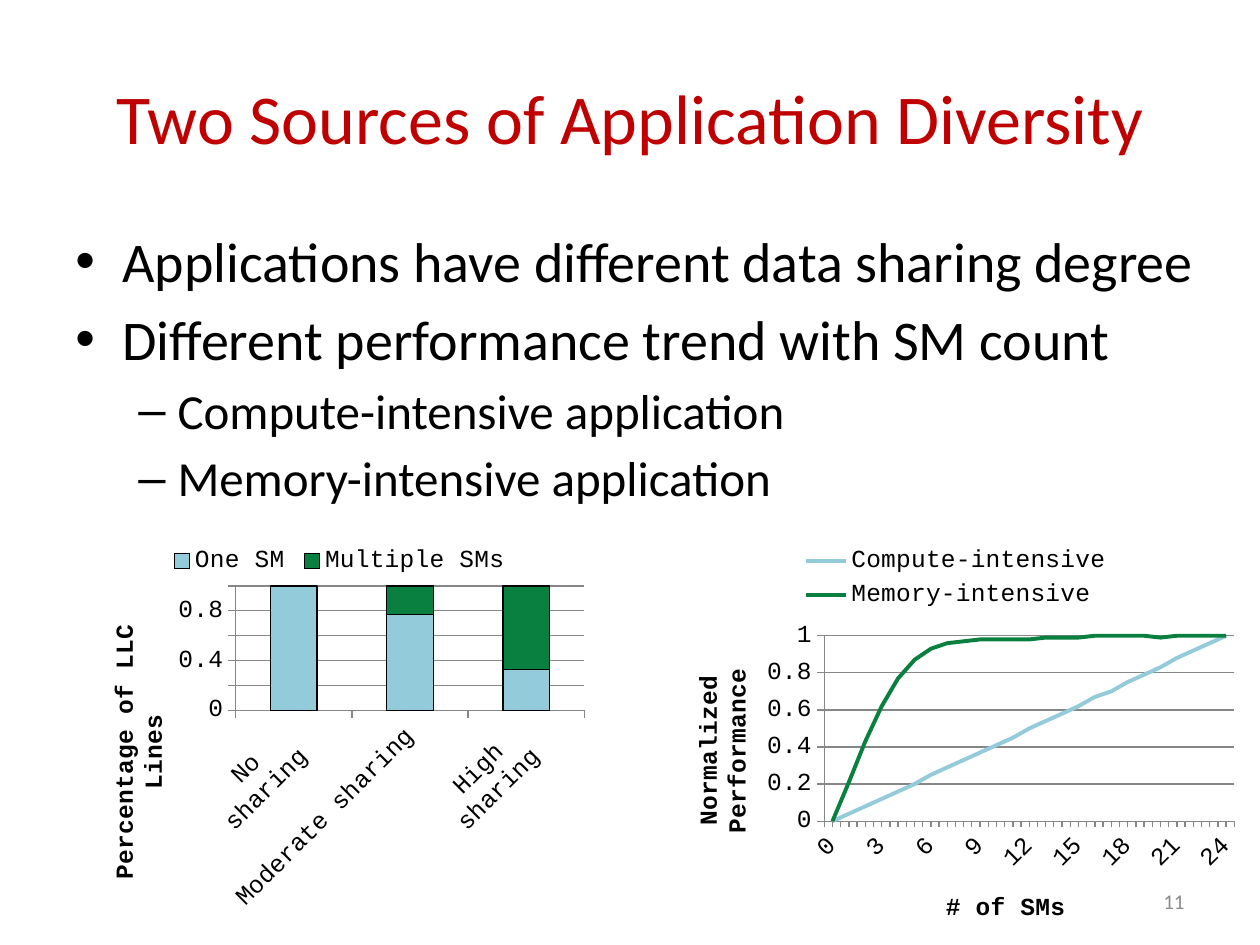
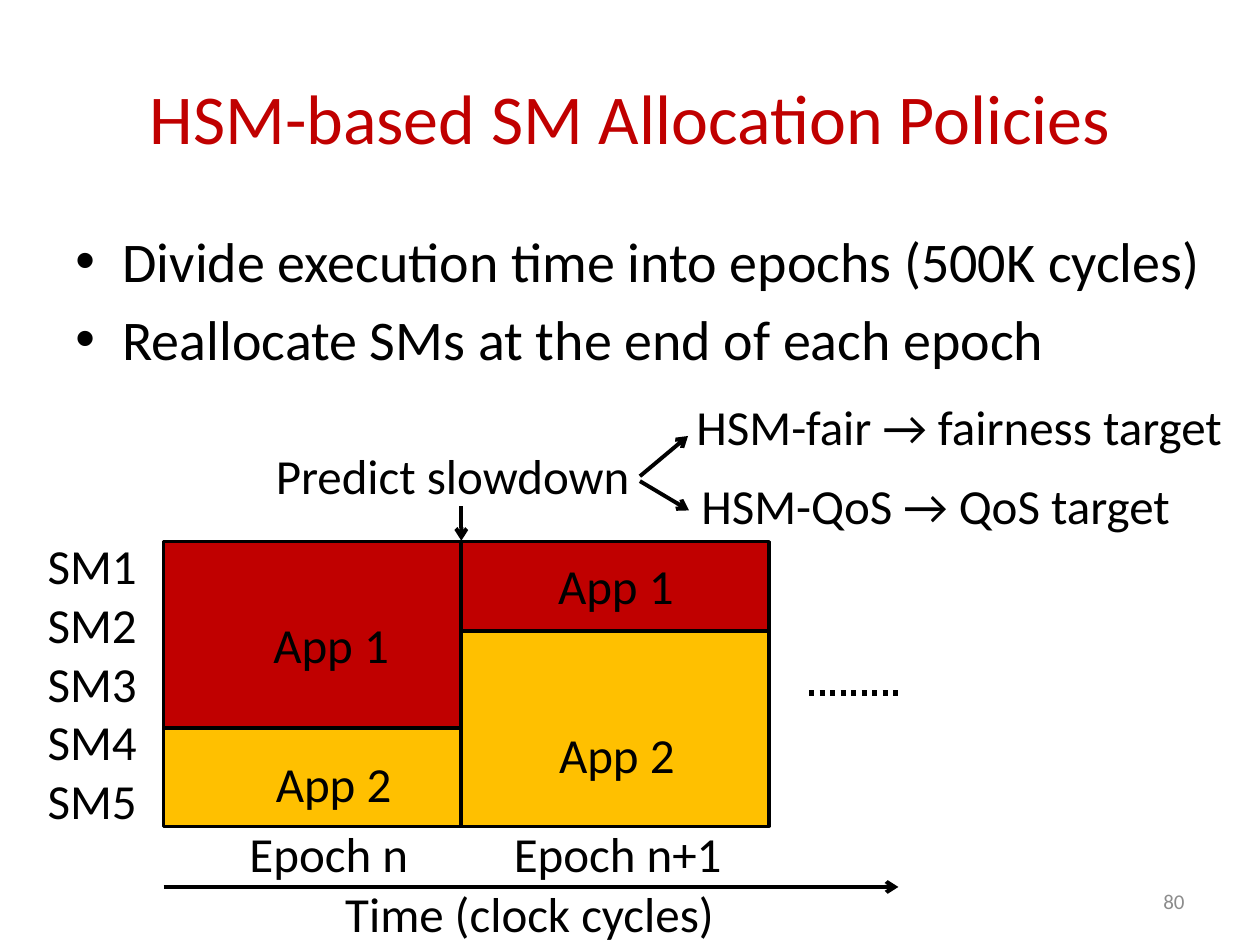
from dataclasses import dataclass

from lxml.etree import SubElement
from pptx import Presentation
from pptx.chart.data import CategoryChartData
from pptx.dml.color import RGBColor
from pptx.enum.chart import XL_CHART_TYPE as ChartType
from pptx.enum.chart import XL_LEGEND_POSITION as LegendPosition
from pptx.enum.chart import XL_TICK_MARK as TickMark
from pptx.enum.dml import MSO_LINE as Dash
from pptx.enum.shapes import MSO_CONNECTOR as Connector
from pptx.enum.shapes import MSO_SHAPE as Shape
from pptx.enum.text import MSO_ANCHOR as Anchor
from pptx.enum.text import PP_ALIGN as Align
from pptx.oxml.ns import qn
from pptx.util import Cm, Pt


@dataclass(frozen=True)
class Theme:
    red: str = "C00000"
    gold: str = "FFC000"
    black: str = "000000"
    grey: str = "8C8C8C"
    axis: str = "868686"
    blue: str = "93CBDB"
    green: str = "098040"
    font: str = "Calibri"
    chart_font: str = "Courier New"
    title: int = 40
    bullet: int = 32
    label: int = 28
    chart: int = 14
    number: int = 12


THEME = Theme()
BULLETS = (("•", 0.95, 0.95, THEME.bullet), ("–", 2.06, 0.79, THEME.label))


def color(value):
    return RGBColor.from_string(value)


def style_font(font, size, tint, name=THEME.font, bold=False):
    font.size, font.name, font.bold = Pt(size), name, bold
    font.color.rgb = color(tint)


def write(para, text, size=THEME.label, tint=THEME.black, align=Align.LEFT):
    span = para.add_run()
    span.text = text
    style_font(span.font, size, tint)
    para.alignment = align


def place(node, x, y, w=None, h=None, inner=False):
    for old in node.findall(qn("c:layout")):
        node.remove(old)
    layout = node.makeelement(qn("c:layout"), {})
    manual = SubElement(layout, qn("c:manualLayout"))
    settings = [("layoutTarget", "inner")] if inner else []
    settings += [("xMode", "edge"), ("yMode", "edge"), ("x", x), ("y", y)]
    if w is not None:
        settings += [("w", w), ("h", h)]
    for name, value in settings:
        SubElement(manual, qn(f"c:{name}")).set("val", str(value))
    overlay = node.find(qn("c:overlay"))
    if overlay is None:
        node.insert(0, layout)
    else:
        overlay.addprevious(layout)


class Painter:
    def __init__(self, deck, theme):
        self.deck, self.theme, self.page = deck, theme, None

    def new_page(self, title, number, bullets, body_width):
        self.page = self.deck.slides.add_slide(self.deck.slide_layouts[6])
        self.text(title, 1.27, 0.76, 22.86, 3.18, anchor=Anchor.MIDDLE,
                  size=self.theme.title, tint=self.theme.red, align=Align.CENTER)
        self.bullets(bullets, 1.27, 4.45, body_width, 12.57)
        self.text(number, 18.21, 17.65, 5.92, 1.02, anchor=Anchor.MIDDLE,
                  size=self.theme.number, tint=self.theme.grey, align=Align.RIGHT)

    def frame(self, x, y, w, h, anchor=Anchor.TOP, wrap=True):
        frame = self.page.shapes.add_textbox(Cm(x), Cm(y), Cm(w), Cm(h)).text_frame
        frame.word_wrap, frame.vertical_anchor = wrap, anchor
        return frame

    def text(self, text, x, y, w, h=1.45, anchor=Anchor.TOP, wrap=True, **style):
        frame = self.frame(x, y, w, h, anchor, wrap)
        for index, line in enumerate(text.split("\n")):
            para = frame.add_paragraph() if index else frame.paragraphs[0]
            write(para, line, **style)

    def bullets(self, items, x, y, w, h):
        frame = self.frame(x, y, w, h)
        for index, (level, text) in enumerate(items):
            para = frame.add_paragraph() if index else frame.paragraphs[0]
            mark, margin, hang, size = BULLETS[level]
            props = para._p.get_or_add_pPr()
            props.set("marL", str(Cm(margin)))
            props.set("indent", str(-Cm(hang)))
            SubElement(props, qn("a:buFont")).set("typeface", "Arial")
            SubElement(props, qn("a:buChar")).set("char", mark)
            if index:
                para.space_before = Pt(round(size * 0.18, 1))
            write(para, text, size)

    def block(self, x, y, w, h, fill):
        shape = self.page.shapes.add_shape(Shape.RECTANGLE, Cm(x), Cm(y), Cm(w), Cm(h))
        shape.shadow.inherit = False
        shape.fill.solid()
        shape.fill.fore_color.rgb = color(fill)
        shape.line.color.rgb = color(self.theme.black)
        shape.line.width = Pt(2)

    def line(self, x1, y1, x2, y2, width=2.25, dash=None, arrow=True):
        link = self.page.shapes.add_connector(
            Connector.STRAIGHT, Cm(x1), Cm(y1), Cm(x2), Cm(y2))
        link.line.color.rgb = color(self.theme.black)
        link.line.width = Pt(width)
        if dash:
            link.line.dash_style = dash
        props = link._element.spPr
        if arrow:
            SubElement(props.find(qn("a:ln")), qn("a:tailEnd")).set("type", "arrow")
        SubElement(props, qn("a:effectLst"))

    def axis_title(self, axis, text, spot, turned=False):
        frame = axis.axis_title.text_frame
        frame.text = text
        for para in frame.paragraphs:
            for span in para.runs:
                style_font(span.font, self.theme.chart, self.theme.black,
                           self.theme.chart_font, bold=True)
        if turned:
            frame._txBody.bodyPr.set("rot", "-5400000")
            frame._txBody.bodyPr.set("vert", "horz")
        place(axis.axis_title._element, *spot)

    def chart(self, kind, box, categories, series, plot_spot, legend_spot,
              value_title, value_spot):
        data = CategoryChartData()
        data.categories = categories
        for name, values in series.items():
            data.add_series(name, values)
        chart = self.page.shapes.add_chart(kind, *map(Cm, box), data).chart
        chart.has_title = False
        style_font(chart.font, self.theme.chart, self.theme.black, self.theme.chart_font)
        chart.has_legend = True
        chart.legend.position = LegendPosition.TOP
        chart.legend.include_in_layout = False
        place(chart.legend._element, *legend_spot)
        place(chart._chartSpace.chart.plotArea, *plot_spot, inner=True)

        value_axis, category_axis = chart.value_axis, chart.category_axis
        value_axis.minimum_scale, value_axis.maximum_scale = 0, 1
        value_axis.major_unit = 0.2
        value_axis.has_major_gridlines = True
        value_axis.major_tick_mark = TickMark.OUTSIDE
        value_axis.tick_labels.number_format = "General"
        value_axis.tick_labels.number_format_is_linked = False
        lines = (value_axis.format.line, category_axis.format.line,
                 value_axis.major_gridlines.format.line)
        for line in lines:
            line.color.rgb = color(self.theme.axis)
            line.width = Pt(0.75)
        style_font(category_axis.tick_labels.font, self.theme.chart,
                   self.theme.black, self.theme.chart_font)
        category_axis._element.txPr.bodyPr.set("rot", "-2700000")
        self.axis_title(value_axis, value_title, value_spot, turned=True)
        return chart


def sharing_chart(painter):
    theme = painter.theme
    chart = painter.chart(
        ChartType.COLUMN_STACKED, (1.5, 10.72, 10.49, 7.82),
        ["No\nsharing", "Moderate sharing", "High\nsharing"],
        {"One SM": (1, 0.77, 0.33), "Multiple SMs": (0, 0.23, 0.67)},
        (0.31, 0.14, 0.67, 0.32), (0.17, 0.03, 0.68, 0.09),
        "Percentage of LLC\nLines", (0.06, 0.23))
    chart.category_axis.major_tick_mark = TickMark.OUTSIDE
    plot = chart.plots[0]
    plot.gap_width, plot.overlap, plot.vary_by_categories = 150, 100, False
    for series, tint in zip(plot.series, (theme.blue, theme.green)):
        series.format.fill.solid()
        series.format.fill.fore_color.rgb = color(tint)
        series.format.line.color.rgb = color(theme.black)
        series.format.line.width = Pt(0.75)


def performance_chart(painter):
    theme = painter.theme
    compute = (0, 0.04, 0.08, 0.12, 0.16, 0.2, 0.25, 0.29, 0.33, 0.37, 0.41, 0.45, 0.5,
               0.54, 0.58, 0.62, 0.67, 0.7, 0.75, 0.79, 0.83, 0.88, 0.92, 0.96, 1)
    memory = (0, 0.21, 0.43, 0.62, 0.77, 0.87, 0.93, 0.96, 0.97, 0.98, 0.98, 0.98, 0.98,
              0.99, 0.99, 0.99, 1, 1, 1, 1, 0.99, 1, 1, 1, 1)
    chart = painter.chart(
        ChartType.LINE, (13.31, 10.74, 11.81, 8.31),
        [str(count) for count in range(25)],
        {"Compute-intensive": compute, "Memory-intensive": memory},
        (0.28, 0.25, 0.7, 0.45), (0.23, 0.02, 0.55, 0.18),
        "Normalized\nPerformance", (0.05, 0.32))
    axis = chart.category_axis
    axis.major_tick_mark, axis.minor_tick_mark = TickMark.NONE, TickMark.OUTSIDE
    painter.axis_title(axis, "# of SMs", (0.48, 0.86))
    skip = axis._element.makeelement(qn("c:tickLblSkip"), {"val": "3"})
    axis._element.find(qn("c:noMultiLvlLbl")).addprevious(skip)
    for series, tint in zip(chart.plots[0].series, (theme.blue, theme.green)):
        series.smooth = False
        series.format.line.color.rgb = color(tint)
        series.format.line.width = Pt(2.25)


def diversity_page(painter):
    painter.new_page("Two Sources of Application Diversity", "11", [
        (0, "Applications have different data sharing degree"),
        (0, "Different performance trend with SM count"),
        (1, "Compute-intensive application"),
        (1, "Memory-intensive application"),
    ], 24.13)
    sharing_chart(painter)
    performance_chart(painter)


def allocation_page(painter):
    theme = painter.theme
    painter.new_page("HSM-based SM Allocation Policies", "80", [
        (0, "Divide execution time into epochs (500K cycles)"),
        (0, "Reallocate SMs at the end of each epoch"),
    ], 23.62)

    start, split, top, now_width, next_width = 3.3, 9.3, 10.92, 6, 6.2
    painter.block(split, top, next_width, 1.8, theme.red)
    painter.block(start, 14.27, now_width, 2.39, theme.gold)
    painter.block(start, top, now_width, 3.76, theme.red)
    painter.block(split, 12.72, next_width, 3.94, theme.gold)

    for app, x, y in (("App 1", 5.26, 12.27), ("App 2", 5.31, 15.06),
                      ("App 1", 11, 11.07), ("App 2", 11.02, 14.48)):
        painter.text(app, x, y, 2.87, wrap=False)
    painter.text("\n".join(f"SM{row}" for row in range(1, 6)), 0.71, 10.67, 3, 6.25)
    for label, x, y, width in (
            ("Predict slowdown", 5.31, 8.86, 8.26),
            ("HSM-fair → fairness target", 13.79, 7.87, 11.3),
            ("HSM-QoS → QoS target", 13.89, 9.47, 11.3),
            ("Epoch n", 4.78, 16.48, 4.14),
            ("Epoch n+1", 10.11, 16.48, 5.41),
            ("Time (clock cycles)", 6.71, 17.68, 8)):
        painter.text(label, x, y, width)

    axis_end = 18.11
    painter.line(start, 17.88, axis_end, 17.88)
    painter.line(split, 10.21, split, 10.9)
    painter.line(12.9, 9.6, 13.87, 8.79)
    painter.line(12.9, 9.7, 13.89, 10.29)
    painter.line(16.31, 13.97, axis_end, 13.97, width=3, dash=Dash.ROUND_DOT, arrow=False)


def main():
    deck = Presentation()
    deck.slide_width, deck.slide_height = Cm(25.4), Cm(19.05)
    painter = Painter(deck, THEME)
    diversity_page(painter)
    allocation_page(painter)
    deck.save("out.pptx")


if __name__ == "__main__":
    main()
